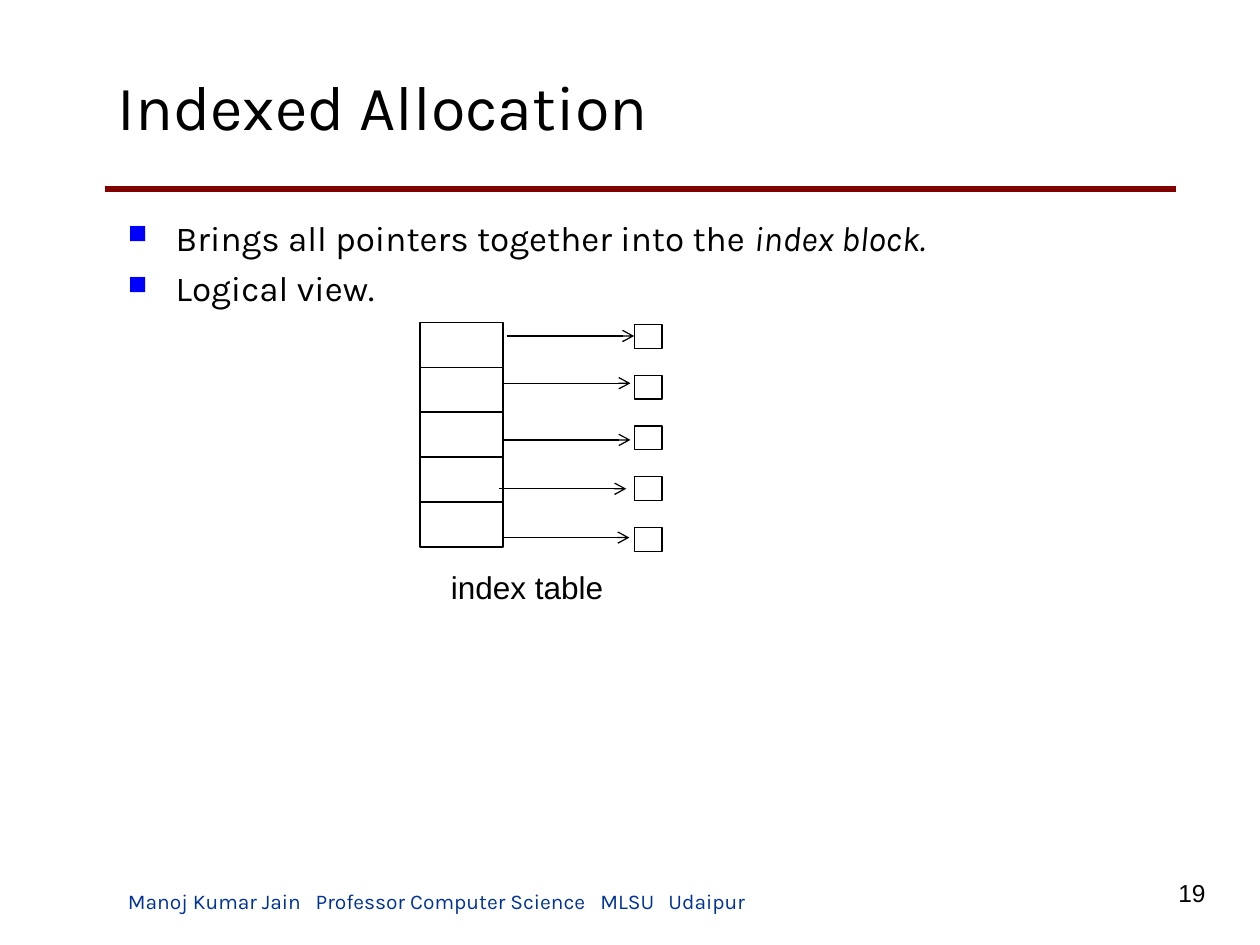
import pptx
import pptx.util
import pptx.dml.color
import pptx.enum.shapes
import pptx.enum.text
import pptx.oxml.ns
from dataclasses import dataclass
from lxml import etree

BLACK = pptx.dml.color.RGBColor(0x00, 0x00, 0x00)
WHITE = pptx.dml.color.RGBColor(0xFF, 0xFF, 0xFF)
MAROON = pptx.dml.color.RGBColor(0x80, 0x00, 0x00)
BLUE = pptx.dml.color.RGBColor(0x00, 0x00, 0xFF)
NAVY = pptx.dml.color.RGBColor(0x00, 0x33, 0x99)

# The slide is a grid of 120 columns by 90 rows
SLIDE_WIDTH, SLIDE_HEIGHT = pptx.util.Inches(10), pptx.util.Inches(7.5)
COLUMNS, ROWS = 120, 90

ALIGN = pptx.enum.text.PP_ALIGN
ANCHOR = pptx.enum.text.MSO_ANCHOR


@dataclass
class Box:
    left: float
    top: float
    width: float
    height: float

    def inner(self, left, top, width, height):
        return Box(self.left + left, self.top + top, width, height)

    def lengths(self):
        return (across(self.left), down(self.top),
                across(self.width), down(self.height))


def across(columns):
    return int(SLIDE_WIDTH * columns / COLUMNS)


def down(rows):
    return int(SLIDE_HEIGHT * rows / ROWS)


def add_child(parent, tag, **attributes):
    return etree.SubElement(parent, pptx.oxml.ns.qn(tag), attributes)


def add_run(paragraph, text, size, font="Karla", color=BLACK, italic=False):
    run = paragraph.add_run()
    run.text = text
    run.font.size = pptx.util.Pt(size)
    run.font.name = font
    run.font.color.rgb = color
    run.font.italic = italic


def add_text_box(slide, box, anchor=ANCHOR.TOP, wrap=True):
    frame = slide.shapes.add_textbox(*box.lengths()).text_frame
    frame.word_wrap = wrap
    frame.vertical_anchor = anchor
    return frame


def add_line(slide, start, end, color, width, arrow=False):
    line = slide.shapes.add_connector(
        pptx.enum.shapes.MSO_CONNECTOR.STRAIGHT,
        across(start[0]), down(start[1]), across(end[0]), down(end[1]))
    line.line.color.rgb = color
    line.line.width = pptx.util.Pt(width)
    if arrow:
        add_child(line.line._get_or_add_ln(), "a:tailEnd", type="arrow")
    add_child(line._element.spPr, "a:effectLst")


def add_cell(slide, box):
    cell = slide.shapes.add_shape(
        pptx.enum.shapes.MSO_SHAPE.RECTANGLE, *box.lengths())
    cell.shadow.inherit = False
    cell.fill.solid()
    cell.fill.fore_color.rgb = WHITE
    cell.line.color.rgb = BLACK
    cell.line.width = pptx.util.Pt(0.75)


def place_title(slide, box):
    title = slide.shapes.title
    title.left, title.top, title.width, title.height = box.lengths()
    title.text_frame.vertical_anchor = ANCHOR.MIDDLE
    paragraph = title.text_frame.paragraphs[0]
    paragraph.alignment = ALIGN.LEFT
    add_run(paragraph, "Indexed Allocation", 36)


def place_bullets(slide, box, items):
    frame = add_text_box(slide, box)
    indent = pptx.util.Inches(0.38)
    for index, runs in enumerate(items):
        paragraph = frame.add_paragraph() if index else frame.paragraphs[0]
        if index:
            paragraph.space_before = pptx.util.Pt(5)
        properties = paragraph._p.get_or_add_pPr()
        properties.set("marL", str(indent))
        properties.set("indent", str(-indent))
        color = add_child(properties, "a:buClr")
        add_child(color, "a:srgbClr", val=str(BLUE))
        add_child(properties, "a:buSzPct", val="75000")
        add_child(properties, "a:buChar", char="■")
        for text, italic in runs:
            add_run(paragraph, text, 20, italic=italic)


def place_index_diagram(slide, box):
    count = 5
    # Index table and the blocks it points to
    entry_height, block_pitch = 4.28, 4.83
    for row in range(count):
        add_cell(slide, box.inner(0, row * entry_height, 7.92, entry_height))
    for row in range(count):
        add_cell(slide, box.inner(20.4, 0.2 + row * block_pitch, 2.64, 2.28))

    # Pointers, all of one length
    pointer_length = 12.15
    starts = [(8.25, 1.3), (7.9, 5.8), (7.9, 11.2), (7.5, 15.85), (7.8, 20.5)]
    for column, row in starts:
        left, top = box.left + column, box.top + row
        add_line(slide, (left, top), (left + pointer_length, top),
                 BLACK, 0.75, arrow=True)

    # Caption
    caption = add_text_box(slide, box.inner(1.75, 22.8, 16.9, 4.8),
                           ANCHOR.MIDDLE, wrap=False)
    caption.paragraphs[0].alignment = ALIGN.CENTER
    add_run(caption.paragraphs[0], "index table", 18, "Arial")


def place_footer(slide, box):
    # Author line, its parts set apart by tab stops
    author = add_text_box(slide, box.inner(0, 1, 88, 3.6), ANCHOR.BOTTOM)
    paragraph = author.paragraphs[0]
    tabs = add_child(paragraph._p.get_or_add_pPr(), "a:tabLst")
    for position in (1.49, 3.75, 4.29):
        add_child(tabs, "a:tab", pos=str(pptx.util.Inches(position)), algn="l")
    parts = ["Manoj Kumar Jain", "Professor Computer Science",
             "MLSU", "Udaipur"]
    add_run(paragraph, "\t".join(parts), 12, color=NAVY)

    # Slide number
    number = add_text_box(slide, box.inner(97, 0, 8, 4))
    number.paragraphs[0].alignment = ALIGN.RIGHT
    add_run(number.paragraphs[0], "19", 14, "Arial")


def main():
    presentation = pptx.Presentation()
    presentation.slide_width = SLIDE_WIDTH
    presentation.slide_height = SLIDE_HEIGHT
    slide = presentation.slides.add_slide(
        presentation.slide_layouts.get_by_name("Title Only"))

    add_line(slide, (10, 18), (112, 18), MAROON, 3)
    place_footer(slide, Box(11, 83, 105, 5))
    place_title(slide, Box(10, 4, 93, 12))
    place_bullets(slide, Box(11, 20, 102, 10), [
        [("Brings all pointers together into the ", False),
         ("index block.", True)],
        [("Logical view.", False)],
    ])
    place_index_diagram(slide, Box(40, 30.7, 23, 28))
    presentation.save("out.pptx")


if __name__ == "__main__":
    main()
